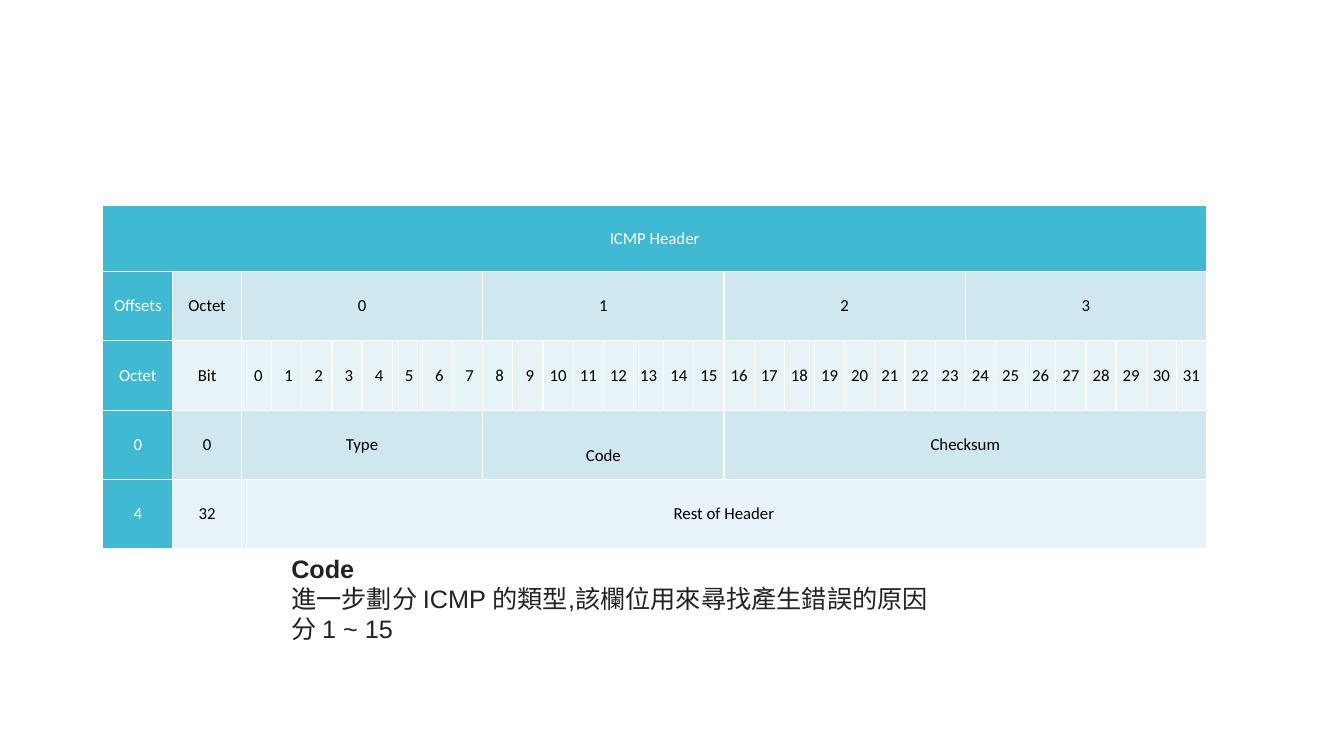
from lxml.etree import SubElement
from pptx import Presentation
from pptx.dml.color import RGBColor
from pptx.enum.text import MSO_ANCHOR as Anchor, MSO_AUTO_SIZE as AutoSize, PP_ALIGN as Align
from pptx.oxml.ns import qn
from pptx.util import Pt

TEAL = RGBColor(0x40, 0xBA, 0xD2)
BLUE = RGBColor(0xCF, 0xE7, 0xEE)
PALE = RGBColor(0xE8, 0xF3, 0xF7)
WHITE = RGBColor(0xFF, 0xFF, 0xFF)
BLACK = RGBColor(0, 0, 0)
INK = RGBColor(0x22, 0x22, 0x22)

BITS = 32
WIDE = (5, 2.5)
NARROW = (3.5, 1.5)
COL_WIDTHS = [50, 49] + [21.55] * BITS
ROW_HEIGHTS = [47.5] + [49.5] * 4
ROWS = [
    [("ICMP Header", BITS + 2)],
    [("Offsets", 1), ("Octet", 1)] + [(str(octet), 8) for octet in range(4)],
    [("Octet", 1), ("Bit", 1)] + [(f"{bit}".rjust(2, " "), 1) for bit in range(BITS)],
    [("0", 1), ("0", 1), ("Type", 8), ("Code", 8), ("Checksum", 16)],
    [("4", 1), ("32", 1), ("Rest of Header", BITS)],
]


def write(p, text, size=12, font="Calibri", color=BLACK, bold=False,
          align=Align.LEFT, spacing=None):
    p.alignment = align
    p.line_spacing = spacing
    r = p.add_run()
    r.text = text
    r.font.size = Pt(size)
    r.font.name = font
    r.font.bold = bold
    r.font.color.rgb = color


def set_borders(cell, color, width):
    props = cell._tc.get_or_add_tcPr()
    for side in ("lnL", "lnR", "lnT", "lnB"):
        line = SubElement(props, qn(f"a:{side}"), w=str(Pt(width)))
        fill = SubElement(line, qn("a:solidFill"))
        SubElement(fill, qn("a:srgbClr"), val=str(color))


def set_margins(cell, horizontal, vertical):
    cell.margin_left = cell.margin_right = Pt(horizontal)
    cell.margin_top = cell.margin_bottom = Pt(vertical)


def fill_cell(cell, text, row, col):
    is_label = row == 0 or col == 0
    is_code = text == "Code"
    is_narrow = (col == 0 and row in (1, 2)) or (row == 2 and col > 1)
    if not is_code:
        set_margins(cell, *(NARROW if is_narrow else WIDE))
        cell.vertical_anchor = Anchor.MIDDLE
    write(cell.text_frame.paragraphs[0], text, color=WHITE if is_label else BLACK,
          align=Align.CENTER, spacing=2.5 if is_code else None)


def add_header_table(s, left, top):
    frame = s.shapes.add_table(len(ROWS), len(COL_WIDTHS), Pt(left), Pt(top),
                               Pt(sum(COL_WIDTHS)), Pt(sum(ROW_HEIGHTS)))
    table = frame.table
    table.first_row = table.horz_banding = False
    for column, width in zip(table.columns, COL_WIDTHS):
        column.width = Pt(width)
    for row, (fields, height) in enumerate(zip(ROWS, ROW_HEIGHTS)):
        table.rows[row].height = Pt(height)
        band = BLUE if row % 2 else PALE
        for col in range(len(COL_WIDTHS)):
            cell = table.cell(row, col)
            set_borders(cell, WHITE, 1)
            cell.fill.solid()
            cell.fill.fore_color.rgb = TEAL if row == 0 or col == 0 else band
        col = 0
        for text, span in fields:
            cell = table.cell(row, col)
            if span > 1:
                cell.merge(table.cell(row, col + span - 1))
            fill_cell(cell, text, row, col)
            col += span


def add_note(s, left, top, width, height, title, lines):
    tf = s.shapes.add_textbox(Pt(left), Pt(top), Pt(width), Pt(height)).text_frame
    tf.word_wrap = True
    tf.auto_size = AutoSize.SHAPE_TO_FIT_TEXT
    write(tf.paragraphs[0], title, size=18, font="Arial", color=INK, bold=True)
    for line in lines:
        write(tf.add_paragraph(), line, size=18, font="Arial", color=INK)


def main():
    prs = Presentation()
    prs.slide_width, prs.slide_height = Pt(960), Pt(540)
    s = prs.slides.add_slide(prs.slide_layouts[6])
    add_header_table(s, 73.5, 146.5)
    add_note(s, 201, 391.5, 480, 72.5, "Code",
             ["進一步劃分 ICMP 的類型,該欄位用來尋找產生錯誤的原因", "分 1 ~ 15"])
    prs.save("out.pptx")


if __name__ == "__main__":
    main()
